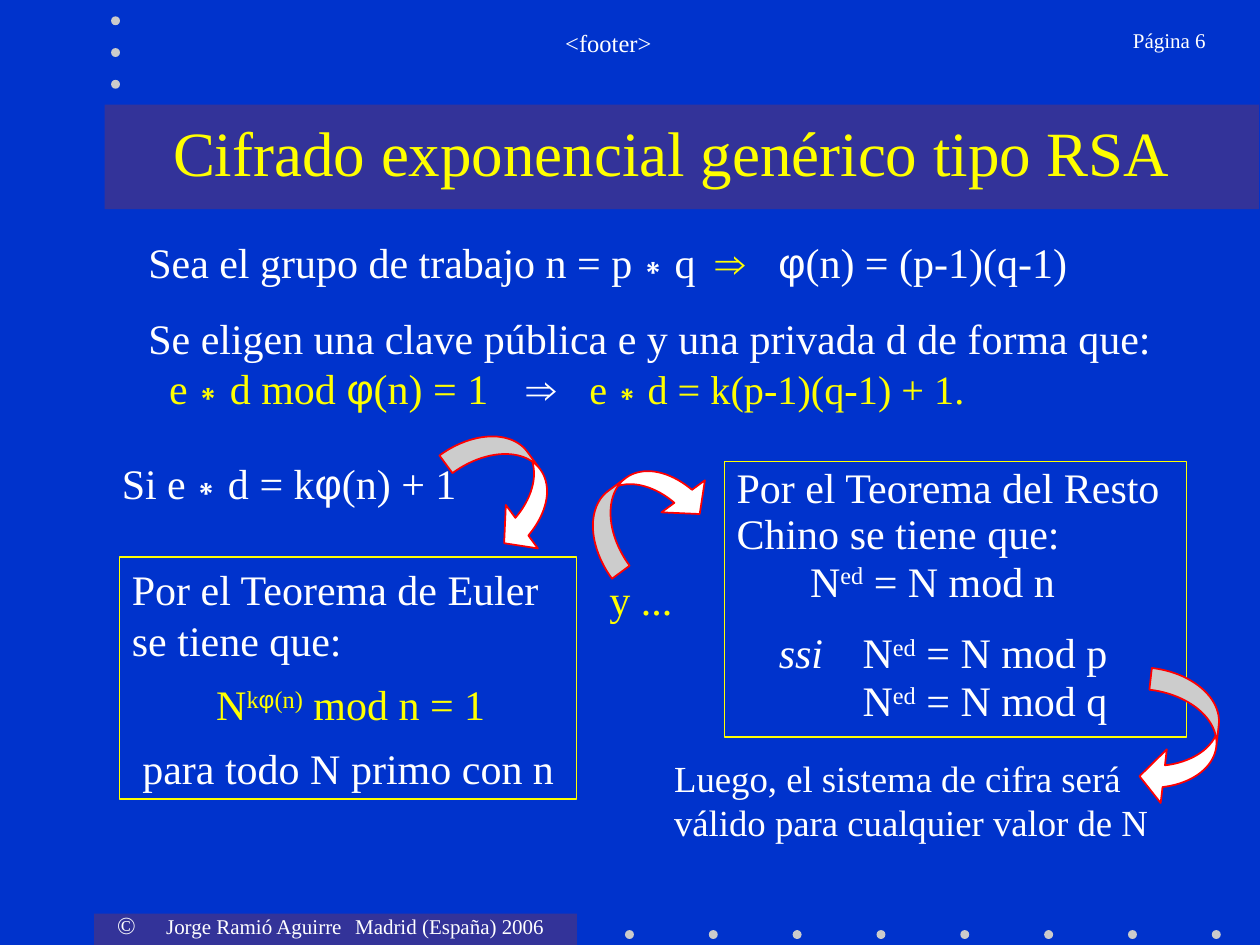
from itertools import groupby

from lxml import etree
from pptx import Presentation
from pptx.dml.color import RGBColor
from pptx.enum import shapes, text
from pptx.oxml import ns
from pptx.util import Cm, Pt

WHITE, YELLOW, GREY = "FFFFFF", "FFFF00", "CBCBCB"
NAVY, BLUE, RED = "333399", "0033CC", "FF0000"
SYMBOLS = "∗⇒φ"
LEFT, CENTER, RIGHT = text.PP_ALIGN.LEFT, text.PP_ALIGN.CENTER, text.PP_ALIGN.RIGHT
TOP, MIDDLE = text.MSO_ANCHOR.TOP, text.MSO_ANCHOR.MIDDLE


def set_fill(fill, color):
    fill.solid()
    fill.fore_color.rgb = RGBColor.from_string(color)


def run(content, color=WHITE, size=24, raised=False, italic=False):
    return {"content": content, "color": color, "size": size,
            "raised": raised, "italic": italic}


def line(*runs, before=0, spacing=1.0, align=LEFT, indent=0, tabs=()):
    return {"runs": runs, "indent": indent, "tabs": tabs,
            "format": {"space_before": Pt(before), "space_after": Pt(0),
                       "line_spacing": spacing, "alignment": align}}


def power(exponent, rest, color=WHITE):
    return [run("N", color), run(exponent, color, raised=True), run(rest, color)]


def add_run(paragraph, item):
    for is_symbol, letters in groupby(item["content"], lambda letter: letter in SYMBOLS):
        piece = paragraph.add_run()
        piece.text = "".join(letters)
        values = {"name": "Arial" if is_symbol else "Times New Roman",
                  "size": Pt(item["size"]), "italic": item["italic"], "bold": False}
        for name, value in values.items():
            setattr(piece.font, name, value)
        set_fill(piece.font.fill, item["color"])
        if item["raised"]:
            piece.font._element.set("baseline", "30000")


def write(shape, lines, anchor=MIDDLE, wrap=True, bottom=0.13):
    frame = shape.text_frame
    values = {"auto_size": text.MSO_AUTO_SIZE.NONE, "word_wrap": wrap,
              "vertical_anchor": anchor, "margin_left": Cm(0.25),
              "margin_right": Cm(0.25), "margin_top": Cm(0.13),
              "margin_bottom": Cm(bottom)}
    for name, value in values.items():
        setattr(frame, name, value)
    for index, item in enumerate(lines):
        paragraph = frame.add_paragraph() if index else frame.paragraphs[0]
        for name, value in item["format"].items():
            setattr(paragraph, name, value)
        properties = paragraph._p.get_or_add_pPr()
        properties.set("marL", "0")
        properties.set("indent", str(Cm(item["indent"])))
        etree.SubElement(properties, ns.qn("a:buNone"))
        if item["tabs"]:
            stops = etree.SubElement(properties, ns.qn("a:tabLst"))
            for position in item["tabs"]:
                etree.SubElement(stops, ns.qn("a:tab"), pos=str(Cm(position)), algn="l")
        for piece in item["runs"]:
            add_run(paragraph, piece)


def add_shape(slide, kind, box, fill=None, outline=None, width=0.75):
    shape = slide.shapes.add_shape(kind, *map(Cm, box))
    shape.shadow.inherit = False
    if fill:
        set_fill(shape.fill, fill)
    else:
        shape.fill.background()
    if outline:
        set_fill(shape.line.fill, outline)
        shape.line.width = Pt(width)
    else:
        shape.line.fill.background()
    return shape


def add_text(slide, box, lines, **options):
    write(slide.shapes.add_textbox(*map(Cm, box)), lines, **options)


def add_framed_text(slide, box, lines, **options):
    shape = add_shape(slide, shapes.MSO_SHAPE.RECTANGLE, box, outline=YELLOW)
    write(shape, lines, **options)


def fill_placeholder(slide, shape, box, lines):
    slide.shapes._spTree.append(shape._element)
    shape.left, shape.top, shape.width, shape.height = map(Cm, box)
    write(shape, lines)


def add_curved_arrow(slide, left, top, rotation):
    arrow = add_shape(slide, shapes.MSO_SHAPE.CURVED_LEFT_ARROW,
                      (left, top, 1.47, 2.74), WHITE, RED, 1)
    arrow.rotation = rotation
    for index, value in enumerate((0.3, 0.74, 0.33)):
        arrow.adjustments[index] = value


def add_decoration(slide):
    for box in ((1.9, 18.42, 9.73, 0.63), (2.11, 2.11, 23.27, 2.11)):
        add_shape(slide, shapes.MSO_SHAPE.RECTANGLE, box, NAVY)
    dots = [(12.6 + 1.69 * i, 18.75) for i in range(8)]
    dots += [(2.24, 0.33 + 0.64 * i) for i in range(3)]
    for left, top in dots:
        add_shape(slide, shapes.MSO_SHAPE.OVAL, (left, top, 0.18, 0.18), GREY)


def add_margins(slide):
    credit = line(run("©", size=14), run("\tJorge Ramió Aguirre\tMadrid (España) 2006", size=12),
                  before=7.5, indent=0.28, tabs=(0.85, 5.44))
    add_text(slide, (1.83, 18.21, 10.4, 0.86), [credit], anchor=TOP)
    add_text(slide, (4.01, 0.43, 16.51, 1.27),
             [line(run("<footer>", size=14), before=8.8, align=CENTER)], anchor=TOP)
    add_text(slide, (21.08, 0.43, 3.48, 1.27),
             [line(run("Página 6", size=12), before=7.5, align=RIGHT)], anchor=TOP)


def add_theorems(slide):
    add_framed_text(slide, (14.6, 9.3, 9.32, 5.56), [
        line(run("Por el Teorema del Resto Chino se tiene que:"), before=1.5, spacing=0.9),
        line(*power("ed", " = N mod n"), before=1.5, spacing=0.9, indent=1.48),
        line(run("ssi", italic=True), run("\t"), *power("ed", " = N mod p"),
             before=15, spacing=0.9, indent=0.85, tabs=(2.54,)),
        line(*power("ed", " = N mod q"), before=1.5, spacing=0.9, indent=2.54),
    ], bottom=0.23)
    add_framed_text(slide, (2.41, 11.23, 9.22, 4.88), [
        line(run("Por el Teorema de Euler se tiene que:"), before=15),
        line(*power("kφ(n)", " mod n = 1", YELLOW), before=15, spacing=0.75, indent=1.7),
        line(run("para todo N primo con n"), before=15, spacing=0.75, align=CENTER),
    ])


def main():
    presentation = Presentation()
    presentation.slide_width, presentation.slide_height = Cm(25.4), Cm(19.05)
    slide = presentation.slides.add_slide(presentation.slide_layouts[1])
    set_fill(slide.background.fill, BLUE)
    title, body = slide.placeholders
    add_decoration(slide)
    add_margins(slide)
    fill_placeholder(slide, body, (2.74, 4.65, 21.39, 3.81), [
        line(run("Sea el grupo de trabajo n = p∗q"), run("\t⇒", YELLOW),
             run("\tφ(n) = (p-1)(q-1)"), before=15, tabs=(11.61, 12.73)),
        line(run("Se eligen una clave pública e y una privada d de forma que:"), before=14.4),
        line(run("e∗d mod φ(n) = 1", YELLOW), run("\t⇒"),
             run("\te∗d = k(p-1)(q-1) + 1.", YELLOW, 23), indent=0.42, tabs=(7.47, 8.74)),
    ])
    add_theorems(slide)
    add_text(slide, (2.97, 9.09, 5.72, 1.27),
             [line(run("Si e∗d = kφ(n) + 1"), align=CENTER)], wrap=False)
    add_text(slide, (12.07, 11.43, 1.7, 1.27),
             [line(run("y ...", YELLOW), align=CENTER)], wrap=False)
    add_text(slide, (13.34, 15.11, 10.8, 2.03),
             [line(run("Luego, el sistema de cifra será válido para cualquier valor de N", size=21))])
    fill_placeholder(slide, title, (2.11, 2.11, 22.86, 1.9), [
        line(run("Cifrado exponencial genérico tipo RSA", YELLOW, 36), align=CENTER)])
    for left, top, rotation in ((9.53, 8.48, 323.6), (12.27, 8.89, 233.6), (23.06, 13.54, 6.5)):
        add_curved_arrow(slide, left, top, rotation)
    presentation.save("out.pptx")


if __name__ == "__main__":
    main()
